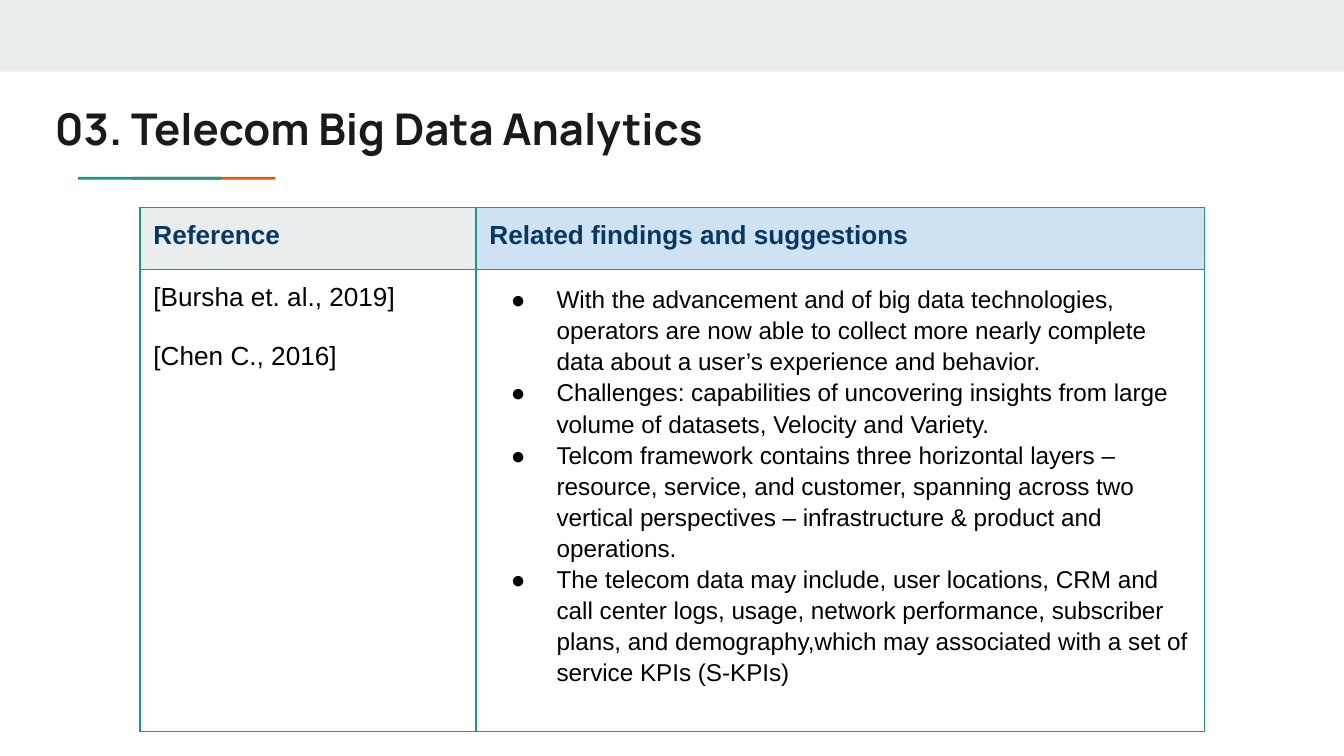
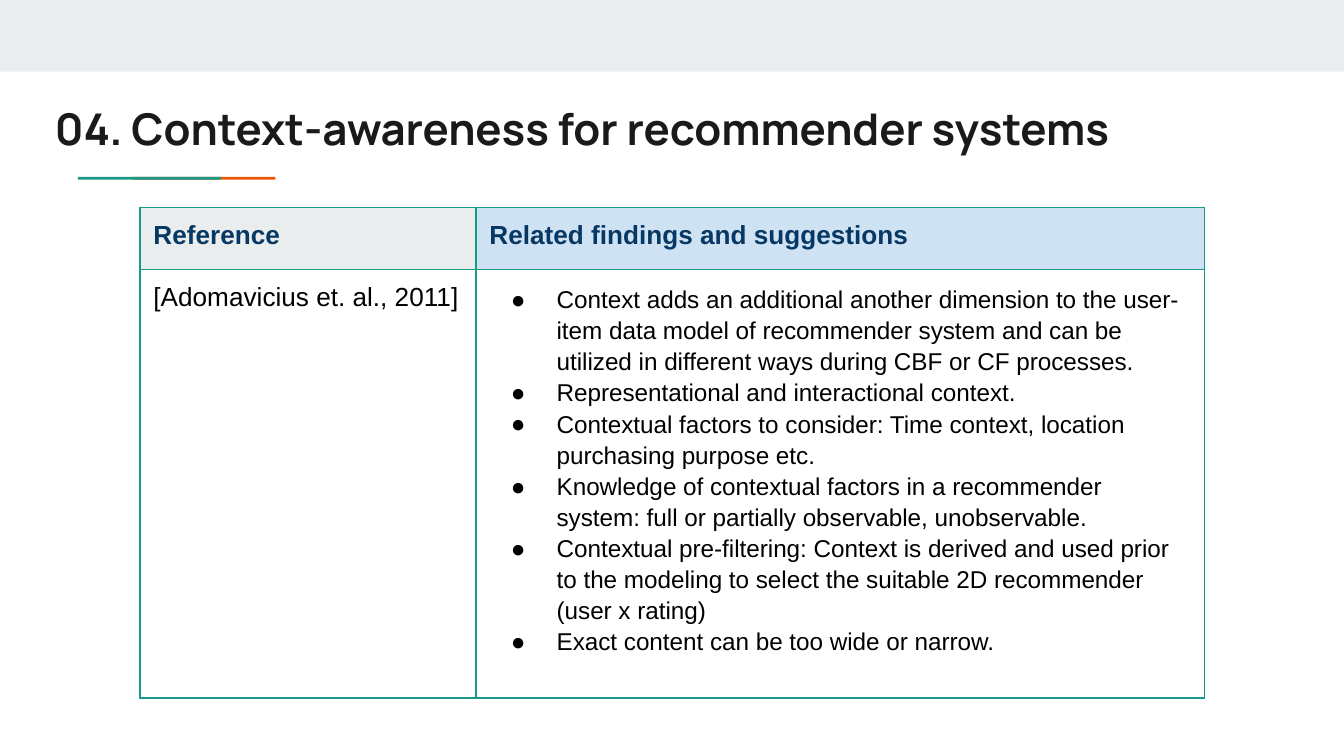
import pptx
import pptx.dml.color
import pptx.enum.shapes
import pptx.enum.text
import pptx.oxml
import pptx.oxml.ns
import pptx.util

Pt = pptx.util.Pt
RGB = pptx.dml.color.RGBColor.from_string
NS = pptx.oxml.ns.nsdecls("a")

THEME = {
    "band": "E9EDEE",
    "teal": "1A9988",
    "orange": "EB5600",
    "header_fills": ["E9EDEE", "CFE2F3"],
    "border": 0.75,
    "inset": 7.2,
    "title": {"name": "Manrope", "size": 23.4, "bold": True, "color": "1A1A1A"},
    "header": {"name": "Arial", "size": 14, "bold": True, "color": "073763"},
    "reference": {"name": "Arial", "size": 14, "bold": False, "color": "000000"},
    "finding": {"name": "Arial", "size": 13, "bold": False, "color": "000000"},
}

HEADERS = ["Reference", "Related findings and suggestions"]

SLIDES = [
    {
        "title": "03. Telecom Big Data Analytics",
        "references": ["[Bursha et. al., 2019]", "[Chen C., 2016]"],
        "findings": [
            "With the advancement and of big data technologies, operators are now able to "
            "collect more nearly complete data about a user’s experience and behavior.",
            "Challenges: capabilities of uncovering insights from large volume of datasets, "
            "Velocity and Variety.",
            "Telcom framework contains three horizontal layers – resource, service, and "
            "customer, spanning across two vertical perspectives – infrastructure & product "
            "and operations.",
            "The telecom data may include, user locations, CRM and call center logs, usage, "
            "network performance, subscriber plans, and demography,which may associated "
            "with a set of service KPIs (S-KPIs)",
        ],
    },
    {
        "title": "04. Context-awareness for recommender systems",
        "references": ["[Adomavicius et. al., 2011]"],
        "findings": [
            "Context adds an additional another dimension to the user-item data model of "
            "recommender system and can be utilized in different ways during CBF or CF "
            "processes.",
            "Representational and interactional context.",
            "Contextual factors to consider: Time context, location purchasing purpose etc.",
            "Knowledge of contextual factors in a recommender system: full or partially "
            "observable, unobservable.",
            "Contextual pre-filtering: Context is derived and used prior to the modeling to "
            "select the suitable 2D recommender (user x rating)",
            "Exact content can be too wide or narrow.",
        ],
    },
]

# Left, top, width, height and fill; the teal rule overlaps the orange one
BARS = [
    (0, 0, 720, 38.4, THEME["band"]),
    (71, 94.8, 76.6, 1.5, THEME["orange"]),
    (41.8, 94.8, 76.6, 1.5, THEME["teal"]),
]


def write(tf, lines, style):
    """Fill a text frame with one paragraph per line and return the paragraphs."""
    for i, line in enumerate(lines):
        p = tf.paragraphs[0] if i == 0 else tf.add_paragraph()
        r = p.add_run()
        r.text = line
        for key, value in THEME[style].items():
            if key == "color":
                r.font.color.rgb = RGB(value)
            else:
                setattr(r.font, key, Pt(value) if key == "size" else value)
        size = round(THEME[style]["size"] * 100)
        p._p.append(pptx.oxml.parse_xml(f'<a:endParaRPr {NS} sz="{size}"/>'))
    return tf.paragraphs


def set_margins(box):
    for side in ("left", "top", "right", "bottom"):
        setattr(box, f"margin_{side}", Pt(THEME["inset"]))


prs = pptx.Presentation()
prs.slide_width, prs.slide_height = Pt(720), Pt(405)

for content in SLIDES:
    s = prs.slides.add_slide(prs.slide_layouts[6])

    for left, top, width, height, color in BARS:
        sp = s.shapes.add_shape(pptx.enum.shapes.MSO_SHAPE.RECTANGLE,
                                Pt(left), Pt(top), Pt(width), Pt(height))
        sp.shadow.inherit = False
        sp.fill.solid()
        sp.fill.fore_color.rgb = RGB(color)
        sp.line.fill.background()

    tf = s.shapes.add_textbox(Pt(22.3), Pt(47.2), Pt(682.6), Pt(42.5)).text_frame
    tf.word_wrap = True
    tf.vertical_anchor = pptx.enum.text.MSO_ANCHOR.TOP
    set_margins(tf)
    write(tf, [content["title"]], "title")

    frame = s.shapes.add_table(2, 2, Pt(75), Pt(111.2), Pt(570), Pt(152))
    table = frame.table
    table.first_row = table.horz_banding = False
    for column, width in zip(table.columns, (180, 390.2)):
        column.width = Pt(width)
    for row, height in zip(table.rows, (33, 119)):
        row.height = Pt(height)
    # The rows grow with their text, beyond the nominal frame
    frame.width = frame.height = Pt(236.2)

    for cell in table.iter_cells():
        set_margins(cell)
        tcPr = cell._tc.get_or_add_tcPr()
        for edge in ("lnL", "lnR", "lnT", "lnB"):
            tcPr.append(pptx.oxml.parse_xml(
                f'<a:{edge} {NS} w="{Pt(THEME["border"])}"><a:solidFill>'
                f'<a:srgbClr val="{THEME["teal"]}"/></a:solidFill></a:{edge}>'))
        cell.fill.background()

    for i, header in enumerate(HEADERS):
        cell = table.cell(0, i)
        cell.fill.solid()
        cell.fill.fore_color.rgb = RGB(THEME["header_fills"][i])
        write(cell.text_frame, [header], "header")

    references = write(table.cell(1, 0).text_frame, content["references"], "reference")
    for p in references[1:]:
        p.space_before = Pt(16)

    for p in write(table.cell(1, 1).text_frame, content["findings"], "finding"):
        p.line_spacing = 1.15
        pPr = p._p.get_or_add_pPr()
        pPr.set("marL", str(Pt(36)))
        pPr.set("indent", str(Pt(-24.5)))
        for bullet in (f'<a:buClr {NS}><a:srgbClr val="{THEME["finding"]["color"]}"/></a:buClr>',
                       f'<a:buSzPts {NS} val="{THEME["finding"]["size"] * 100}"/>',
                       f'<a:buFont {NS} typeface="Arial"/>',
                       f'<a:buChar {NS} char="●"/>'):
            pPr.append(pptx.oxml.parse_xml(bullet))

prs.save("out.pptx")
